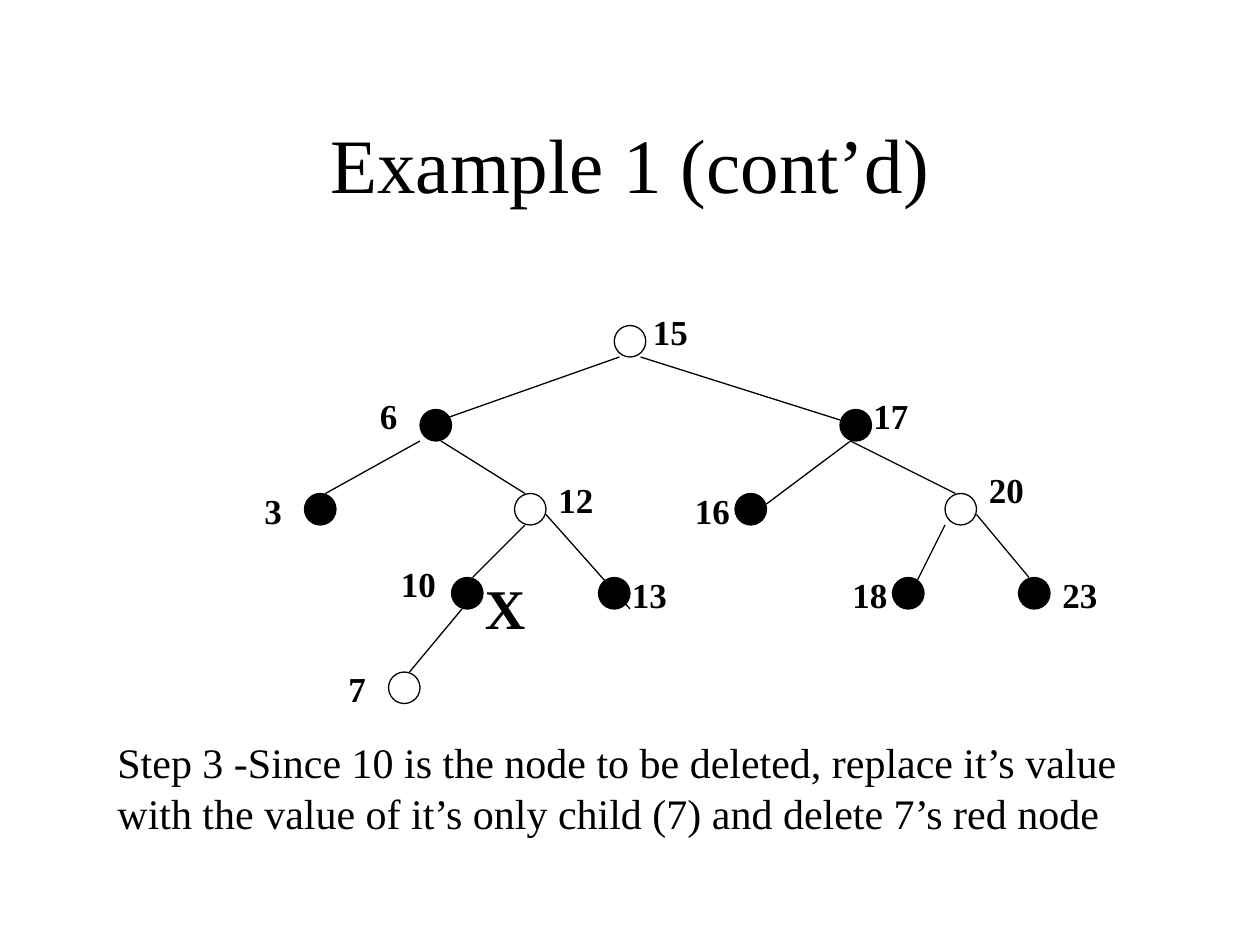
from dataclasses import dataclass

from lxml import etree
from pptx import Presentation
from pptx.dml.color import RGBColor
from pptx.enum.shapes import MSO_CONNECTOR, MSO_SHAPE
from pptx.enum.text import MSO_ANCHOR, MSO_AUTO_SIZE, PP_ALIGN
from pptx.oxml.ns import qn
from pptx.util import Inches, Pt

STRAIGHT, CIRCLE = MSO_CONNECTOR.STRAIGHT, MSO_SHAPE.OVAL
TOP, MIDDLE = MSO_ANCHOR.TOP, MSO_ANCHOR.MIDDLE
LEFT, CENTER = PP_ALIGN.LEFT, PP_ALIGN.CENTER
FIT_SHAPE, NO_FIT = MSO_AUTO_SIZE.SHAPE_TO_FIT_TEXT, MSO_AUTO_SIZE.NONE
TITLE_ONLY = 5


@dataclass(frozen=True)
class Theme:
    font: str = "Times New Roman"
    ink: RGBColor = RGBColor(0, 0, 0)
    paper: RGBColor = RGBColor(255, 255, 255)
    title: int = 44
    mark: int = 32
    body: int = 24
    label: int = 20
    line: float = 0.75


THEME = Theme()

# Content: positions are columns and rows of a grid with 12 cells to the inch
CELLS_PER_INCH = 12
NODE_SIZE = 3
LABEL_SIZE = (6, 5.25)

TITLE = "Example 1 (cont’d)"
STEP = ("Step 3 -Since 10 is the node to be deleted, replace it’s value "
        "with the value of it’s only child (7) and delete 7’s red node")
DELETED_MARK = "X"

# value, filled, circle corner, label corner
NODES = [
    ("15", False, (58.5, 31), (61, 29)),
    ("6", True, (40, 39), (35, 37)),
    ("17", True, (80, 39), (82, 37)),
    ("3", True, (29, 47), (24, 46)),
    ("12", False, (49, 47), (52, 45)),
    ("16", True, (70, 47), (65, 46)),
    ("20", False, (90, 47), (93, 44)),
    ("10", True, (43, 55), (37, 53)),
    ("13", True, (57, 55), (59, 54)),
    ("18", True, (85, 55), (80, 54)),
    ("23", True, (97, 55), (100, 54)),
    ("7", False, (37, 64), (32, 63)),
]

# start at the parent, end at the child
EDGES = [
    ((59, 34), (42, 40)),  # 15 to 6
    ((61, 34), (80, 40)),  # 15 to 17
    ((40, 42), (31, 47)),  # 6 to 3
    ((42, 42), (50, 47)),  # 6 to 12
    ((81, 42), (73, 48)),  # 17 to 16
    ((81, 42), (91, 47)),  # 17 to 20
    ((50, 50), (45, 55)),  # 12 to 10
    ((52, 49), (60, 58)),  # 12 to 13
    ((90, 50), (87, 56)),  # 20 to 18
    ((93, 49), (98, 55)),  # 20 to 23
    ((44, 58), (39, 64)),  # 10 to 7
]


def cells(*counts):
    return [Inches(count / CELLS_PER_INCH) for count in counts]


def write(box, text, *, size, bold=False, align=LEFT, anchor=TOP,
          before=0, fit=FIT_SHAPE):
    frame = box.text_frame
    frame.word_wrap = True
    frame.auto_size = fit
    frame.vertical_anchor = anchor
    paragraph = frame.paragraphs[0]
    paragraph.alignment = align
    paragraph.space_before = Pt(before)
    run = paragraph.add_run()
    run.text = text
    run.font.name = THEME.font
    run.font.size = Pt(size)
    run.font.bold = bold
    run.font.color.rgb = THEME.ink


def add_text(slide, text, corner, extent, **style):
    write(slide.shapes.add_textbox(*cells(*corner, *extent)), text, **style)


def outline(shape):
    shape.line.color.rgb = THEME.ink
    shape.line.width = Pt(THEME.line)


def add_node(slide, corner, filled):
    node = slide.shapes.add_shape(CIRCLE, *cells(*corner, NODE_SIZE, NODE_SIZE))
    node.shadow.inherit = False
    node.fill.solid()
    node.fill.fore_color.rgb = THEME.ink if filled else THEME.paper
    outline(node)


def add_edge(slide, start, end):
    edge = slide.shapes.add_connector(STRAIGHT, *cells(*start, *end))
    outline(edge)
    etree.SubElement(edge._element.spPr, qn("a:effectLst"))


def main():
    deck = Presentation()
    deck.slide_width, deck.slide_height = cells(120, 90)
    slide = deck.slides.add_slide(deck.slide_layouts[TITLE_ONLY])

    # Title
    title = slide.shapes.title
    title.left, title.top, title.width, title.height = cells(9, 8, 102, 15)
    write(title, TITLE, size=THEME.title, align=CENTER, anchor=MIDDLE, fit=NO_FIT)

    # Tree
    for _, filled, corner, _ in NODES:
        add_node(slide, corner, filled)
    for start, end in EDGES:
        add_edge(slide, start, end)
    for value, _, _, corner in NODES:
        add_text(slide, value, corner, LABEL_SIZE,
                 size=THEME.label, bold=True, before=12.5)

    # Explanation and deletion mark
    add_text(slide, STEP, (10, 69.6), (99, 10.8), size=THEME.body, before=15)
    add_text(slide, DELETED_MARK, (45, 54), (7, 7.7),
             size=THEME.mark, bold=True, before=20)

    deck.save("out.pptx")


if __name__ == "__main__":
    main()
